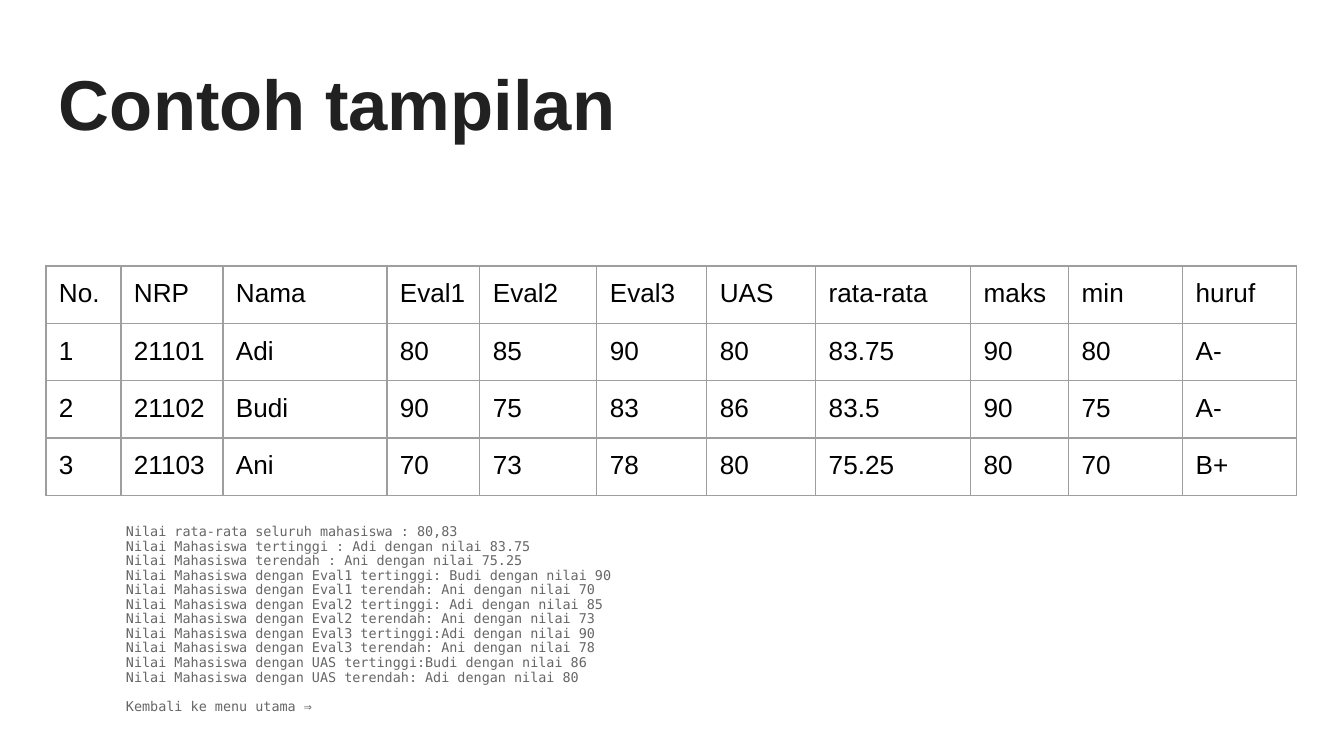
from lxml.etree import SubElement
from pptx import Presentation
from pptx.dml.color import RGBColor
from pptx.enum.text import MSO_ANCHOR as Anchor
from pptx.oxml.ns import qn
from pptx.util import Pt

PX = 914400 / 134.4
INSET = 13
COLUMN_WIDTHS = [75, 102, 164, 93, 117, 110, 109, 155, 98, 114, 114]
ROW_HEIGHT = 56
GRADES = [
    ["No.", "NRP", "Nama", "Eval1", "Eval2", "Eval3", "UAS", "rata-rata", "maks", "min", "huruf"],
    ["1", "21101", "Adi", "80", "85", "90", "80", "83.75", "90", "80", "A-"],
    ["2", "21102", "Budi", "90", "75", "83", "86", "83.5", "90", "75", "A-"],
    ["3", "21103", "Ani", "70", "73", "78", "80", "75.25", "80", "70", "B+"],
]
SUMMARY = [
    "Nilai rata-rata seluruh mahasiswa : 80,83",
    "Nilai Mahasiswa tertinggi : Adi dengan nilai 83.75",
    "Nilai Mahasiswa terendah : Ani dengan nilai 75.25",
    "Nilai Mahasiswa dengan Eval1 tertinggi: Budi dengan nilai 90",
    "Nilai Mahasiswa dengan Eval1 terendah: Ani dengan nilai 70",
    "Nilai Mahasiswa dengan Eval2 tertinggi: Adi dengan nilai 85",
    "Nilai Mahasiswa dengan Eval2 terendah: Ani dengan nilai 73",
    "Nilai Mahasiswa dengan Eval3 tertinggi:Adi dengan nilai 90",
    "Nilai Mahasiswa dengan Eval3 terendah: Ani dengan nilai 78",
    "Nilai Mahasiswa dengan UAS tertinggi:Budi dengan nilai 86",
    "Nilai Mahasiswa dengan UAS terendah: Adi dengan nilai 80",
    "Kembali ke menu utama ⇒",
]


def px(length):
    return round(length * PX)


def color(value):
    return RGBColor.from_string(value)


def set_font(para, name, size, value, bold=False):
    font = para.font
    font.name, font.size, font.bold = name, Pt(size), bold
    font.color.rgb = color(value)


def set_insets(owner):
    """Set equal margins on a text frame or a table cell."""
    owner.margin_left = owner.margin_right = px(INSET)
    owner.margin_top = owner.margin_bottom = px(INSET)


def add_text(page, left, top, width, height, lines, anchor=Anchor.TOP):
    """Add a wrapped text box and return its paragraphs."""
    box = page.shapes.add_textbox(px(left), px(top), px(width), px(height))
    frame = box.text_frame
    frame.word_wrap = True
    frame.vertical_anchor = anchor
    set_insets(frame)
    frame.text = "\n".join(lines)
    return frame.paragraphs


def add_borders(cell, value, points):
    properties = cell._tc.get_or_add_tcPr()
    for side in ("lnL", "lnR", "lnT", "lnB"):
        line = SubElement(properties, qn(f"a:{side}"), w=str(Pt(points)))
        fill = SubElement(line, qn("a:solidFill"))
        SubElement(fill, qn("a:srgbClr"), val=value)


def add_grades(page, left, top):
    frame = page.shapes.add_table(
        len(GRADES), len(COLUMN_WIDTHS), px(left), px(top),
        px(sum(COLUMN_WIDTHS)), px(ROW_HEIGHT * len(GRADES)))
    table = frame.table
    table.first_row = table.horz_banding = False
    for column, width in zip(table.columns, COLUMN_WIDTHS):
        column.width = px(width)
    for row, values in zip(table.rows, GRADES):
        row.height = px(ROW_HEIGHT)
        for cell, value in zip(row.cells, values):
            cell.text = value
            set_insets(cell)
            set_font(cell.text_frame.paragraphs[0], "Arial", 14, "000000")
            add_borders(cell, "9E9E9E", 0.75)
            cell.fill.background()


def add_summary(page):
    paras = add_text(page, 46, 512, 1252, 220, SUMMARY)
    for para in paras:
        set_font(para, "DejaVu Sans Mono", 7.2, "666666")
        para.line_spacing = 0.9
        properties = para._p.get_or_add_pPr()
        properties.set("marL", str(px(67)))
        properties.set("indent", "0")
    paras[-1].space_before = Pt(7.8)


def main():
    deck = Presentation()
    deck.slide_width, deck.slide_height = px(1344), px(756)
    page = deck.slides.add_slide(deck.slide_layouts[6])
    title = add_text(page, 46, 43, 1252, 118, ["Contoh tampilan"], Anchor.MIDDLE)
    set_font(title[0], "Arial", 37.8, "212121", bold=True)
    add_summary(page)
    add_grades(page, 46, 266)
    deck.save("out.pptx")


if __name__ == "__main__":
    main()
